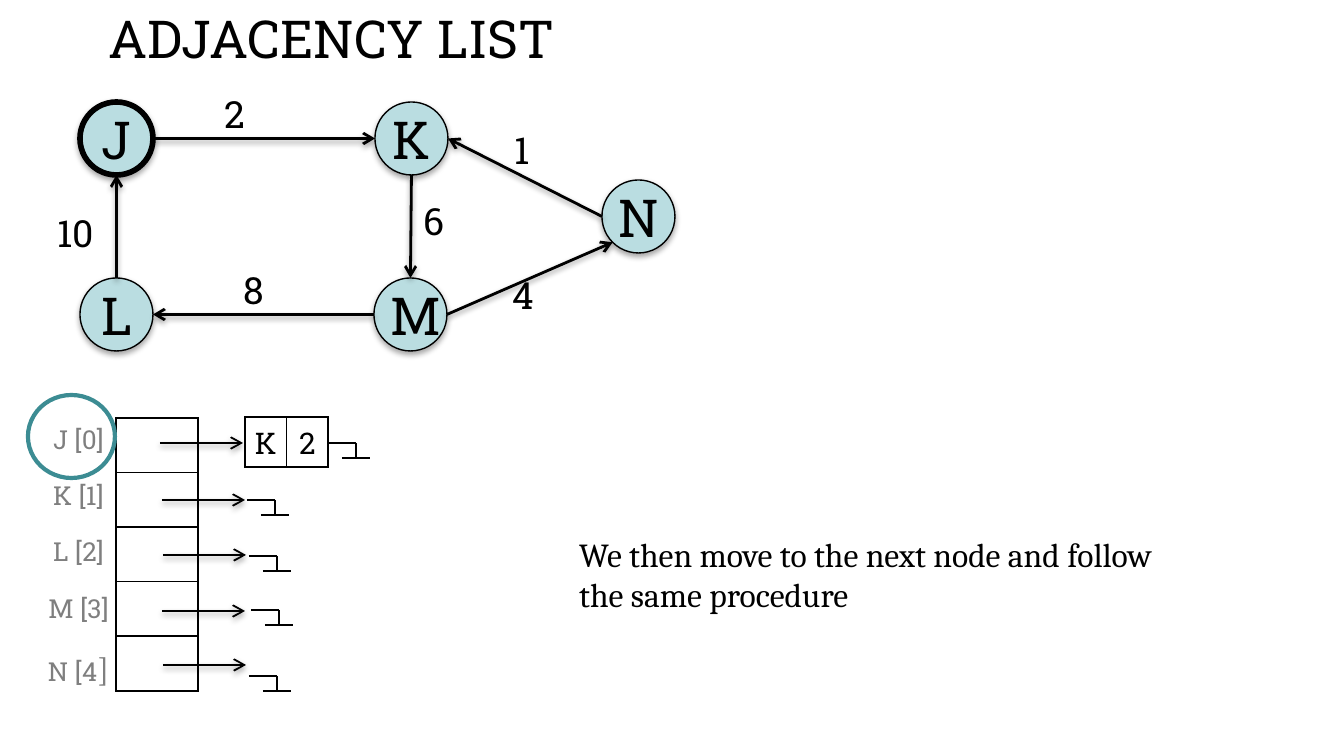
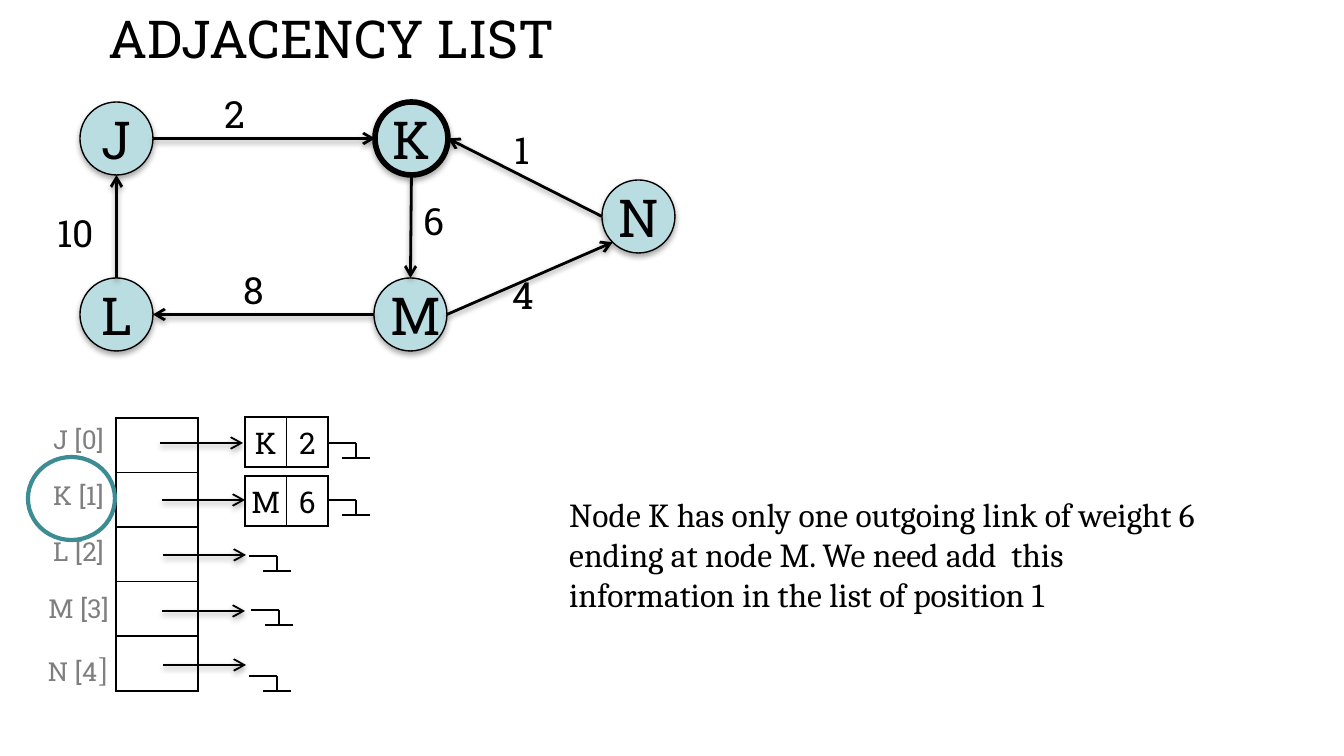
from math import sqrt

from lxml import etree
from pptx import Presentation
from pptx.dml.color import RGBColor
from pptx.enum.shapes import MSO_CONNECTOR, MSO_SHAPE
from pptx.enum.text import MSO_ANCHOR, PP_ALIGN
from pptx.oxml.ns import qn
from pptx.util import Emu, Pt

STRAIGHT = MSO_CONNECTOR.STRAIGHT
ELLIPSE = MSO_SHAPE.OVAL
TOP, MIDDLE = MSO_ANCHOR.TOP, MSO_ANCHOR.MIDDLE
LEFT, CENTER = PP_ALIGN.LEFT, PP_ALIGN.CENTER

BLACK = RGBColor(0x00, 0x00, 0x00)
GRAY = RGBColor(0x7F, 0x7F, 0x7F)
NODE_BLUE = RGBColor(0xBA, 0xDD, 0xE1)
RING_TEAL = RGBColor(0x3C, 0x8C, 0x93)
SLAB, SERIF = "Roboto Slab", "Cambria"

PX_PER_INCH = 134.4
SLIDE_SIZE = (1344, 756)

TITLE = "ADJACENCY LIST"
TITLE_BOX = (28, 0, 606, 77)

NODE_SIZE = 73
# name: left, top, text alignment
NODES = {
    "M": (374, 278, LEFT),
    "K": (375, 102, CENTER),
    "L": (80, 278, CENTER),
    "J": (80, 102, CENTER),
    "N": (602, 180, CENTER),
}
DIAGONAL = 1 / sqrt(2)
SIDES = {
    "top": (0, -1), "left": (-1, 0), "bottom": (0, 1), "right": (1, 0),
    "bottom left": (-DIAGONAL, DIAGONAL),
}
# from node, side, to node, side, weight, weight box
EDGES = [
    ("J", "right", "K", "left", "2", (211, 85, 48, 59)),
    ("K", "bottom", "M", "top", "6", (410, 192, 48, 59)),
    ("M", "left", "L", "right", "8", (230, 261, 48, 59)),
    ("L", "top", "J", "bottom", "10 ", (43, 204, 65, 59)),
    ("N", "left", "K", "right", "1", (501, 121, 43, 59)),
    ("M", "right", "N", "bottom left", "4", (499, 266, 48, 59)),
]

ARRAY_BOX = (116, 418, 82, 273)
INDEX_BOX = (34, 417, 89, 282)
# label runs as (text, font, size), space before in points
INDEX_LABELS = [
    ([("J [0]", SLAB, 14)], 0),
    ([("K [1]", SLAB, 14)], 13),
    ([("L [2]", SLAB, 14)], 13),
    ([("M [3]", SLAB, 14)], 14),
    ([("N [4", SLAB, 14), ("]", SERIF, 18)], 13),
]
POINTER_LENGTH = 83
# pointer start, end mark of an empty list
POINTERS = [
    ((160, 443), None),
    ((162, 500), (247, 500)),
    ((163, 555), (249, 556)),
    ((162, 611), (251, 610)),
    ((163, 665), (249, 676)),
]
ENTRY_LEFT, ENTRY_WIDTH, ENTRY_HEIGHT = 245, 83, 50
ENTRY_TOPS = [417, 476]
RING_LEFT, RING_WIDTH, RING_HEIGHT = 28, 87, 83

STEPS = [
    {
        "node": "J",
        "entries": [("K", "2")],
        "ring_top": 395,
        "caption": "We then move to the next node and follow the same procedure",
        "caption_box": (566, 527, 636, 95),
    },
    {
        "node": "K",
        "entries": [("K", "2"), ("M", "6")],
        "ring_top": 457,
        "caption": "Node K has only one outgoing link of weight 6 ending at node M. "
                   "We need add  this information in the list of position 1",
        "caption_box": (556, 487, 672, 136),
    },
]


def px(*lengths):
    return [Emu(round(length * 914400 / PX_PER_INCH)) for length in lengths]


def add_run(paragraph, text, size, font=SLAB, color=BLACK):
    run = paragraph.add_run()
    run.text = text
    run.font.size = Pt(size)
    run.font.name = font
    run.font.color.rgb = color


def add_text(slide, box, text, size, font=SLAB, align=CENTER, wrap=False):
    frame = slide.shapes.add_textbox(*px(*box)).text_frame
    frame.word_wrap = wrap
    frame.paragraphs[0].alignment = align
    add_run(frame.paragraphs[0], text, size, font)


def add_effects(shape, alpha=0, distance=0):
    """Set the effect list after fill and line: a drop shadow, or none."""
    effects = etree.SubElement(shape.element.spPr, qn("a:effectLst"))
    if alpha:
        shadow = etree.SubElement(effects, qn("a:outerShdw"), blurRad="40000",
                                  dist=str(distance), dir="5400000", rotWithShape="0")
        color = etree.SubElement(shadow, qn("a:srgbClr"), val=str(BLACK))
        etree.SubElement(color, qn("a:alpha"), val=str(alpha * 1000))


def add_line(shapes, start, end, width):
    line = shapes.add_connector(STRAIGHT, *px(*start, *end))
    line.line.color.rgb = BLACK
    line.line.width = Pt(width)
    return line


def add_arrow(slide, start, end, width):
    arrow = add_line(slide.shapes, start, end, width)
    etree.SubElement(arrow.line._get_or_add_ln(), qn("a:tailEnd"), type="arrow")
    add_effects(arrow, 38, 20000)


def add_end_mark(slide, x, y):
    shapes = slide.shapes.add_group_shape().shapes
    for start, end in [((0, 0), (28, 0)), ((14, 15), (42, 15)), ((28, 0), (28, 15))]:
        line = add_line(shapes, (x + start[0], y + start[1]), (x + end[0], y + end[1]), 0.75)
        add_effects(line)


def add_grid(slide, rows, columns, box):
    """Add an unfilled table with thin black borders and return it."""
    table = slide.shapes.add_table(rows, columns, *px(*box)).table
    table.first_row = table.horz_banding = False
    for cell in table.iter_cells():
        cell.fill.background()
        cell.margin_left = cell.margin_right = 0
        properties = cell._tc.get_or_add_tcPr()
        for position, side in enumerate(("lnL", "lnR", "lnT", "lnB")):
            border = etree.Element(qn(f"a:{side}"), w=str(Pt(1)))
            fill = etree.SubElement(border, qn("a:solidFill"))
            etree.SubElement(fill, qn("a:srgbClr"), val=str(BLACK))
            properties.insert(position, border)
    return table


def add_title(slide):
    title = slide.shapes.title
    title.left, title.top, title.width, title.height = px(*TITLE_BOX)
    frame = title.text_frame
    frame.vertical_anchor = TOP
    frame.paragraphs[0].alignment = CENTER
    add_run(frame.paragraphs[0], TITLE, 28)


def add_array(slide):
    array = add_grid(slide, len(INDEX_LABELS), 1, ARRAY_BOX)
    for cell in array.iter_cells():
        cell.margin_top = cell.margin_bottom = 0

    frame = slide.shapes.add_textbox(*px(*INDEX_BOX)).text_frame
    frame.word_wrap = False
    for number, (runs, gap) in enumerate(INDEX_LABELS):
        label = frame.add_paragraph() if number else frame.paragraphs[0]
        label.alignment = CENTER
        if gap:
            label.space_before = Pt(gap)
        for text, font, size in runs:
            add_run(label, text, size, font, GRAY)


def add_lists(slide, entries):
    for number, ((x, y), empty_mark) in enumerate(POINTERS):
        add_arrow(slide, (x, y), (x + POINTER_LENGTH, y), 1)
        if number >= len(entries):
            add_end_mark(slide, *empty_mark)
            continue
        box = (ENTRY_LEFT, ENTRY_TOPS[number], ENTRY_WIDTH, ENTRY_HEIGHT)
        grid = add_grid(slide, 1, 2, box)
        for cell, text in zip(grid.iter_cells(), entries[number]):
            paragraph = cell.text_frame.paragraphs[0]
            paragraph.alignment = CENTER
            add_run(paragraph, text, 16)
        add_end_mark(slide, ENTRY_LEFT + ENTRY_WIDTH, y)


def side_point(name, side):
    left, top, _ = NODES[name]
    radius = NODE_SIZE / 2
    dx, dy = SIDES[side]
    return left + radius * (1 + dx), top + radius * (1 + dy)


def add_graph(slide, current):
    for name, (left, top, align) in NODES.items():
        node = slide.shapes.add_shape(ELLIPSE, *px(left, top, NODE_SIZE, NODE_SIZE))
        node.fill.solid()
        node.fill.fore_color.rgb = NODE_BLUE
        node.line.color.rgb = BLACK
        node.line.width = Pt(3 if name == current else 0.75)
        add_effects(node, 35, 23000)
        frame = node.text_frame
        frame.vertical_anchor = MIDDLE
        frame.margin_left, frame.margin_right = px(6, 6)
        frame.paragraphs[0].alignment = align
        add_run(frame.paragraphs[0], name, 28)
    for start, start_side, end, end_side, weight, box in EDGES:
        add_arrow(slide, side_point(start, start_side), side_point(end, end_side), 1.5)
        add_text(slide, box, weight, 20)


def add_ring(slide, top):
    ring = slide.shapes.add_shape(ELLIPSE, *px(RING_LEFT, top, RING_WIDTH, RING_HEIGHT))
    ring.fill.background()
    ring.line.color.rgb = RING_TEAL
    ring.line.width = Pt(2.25)
    add_effects(ring)


def main():
    deck = Presentation()
    deck.slide_width, deck.slide_height = px(*SLIDE_SIZE)
    title_only = deck.slide_layouts[5]
    for step in STEPS:
        slide = deck.slides.add_slide(title_only)
        add_title(slide)
        add_array(slide)
        add_lists(slide, step["entries"])
        add_graph(slide, step["node"])
        add_ring(slide, step["ring_top"])
        add_text(slide, step["caption_box"], step["caption"], 18, SERIF, LEFT, wrap=True)
    deck.save("out.pptx")


if __name__ == "__main__":
    main()
